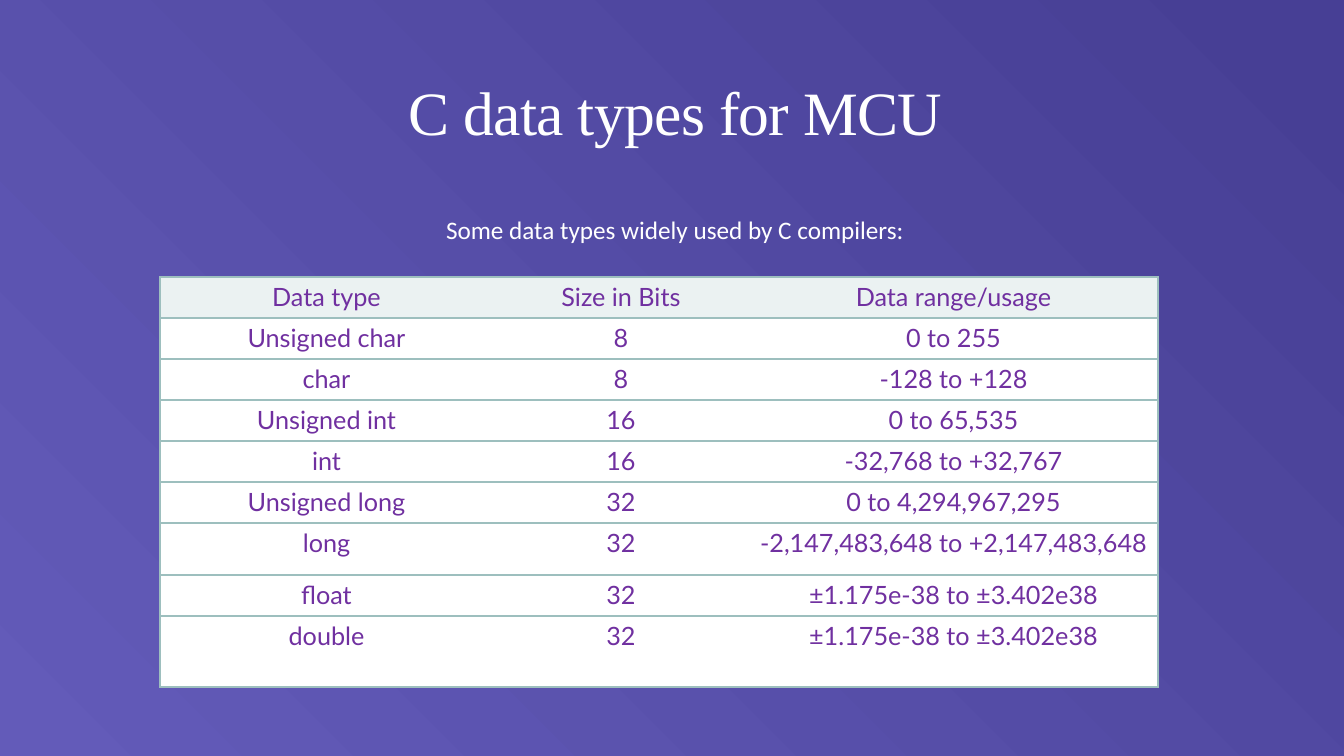
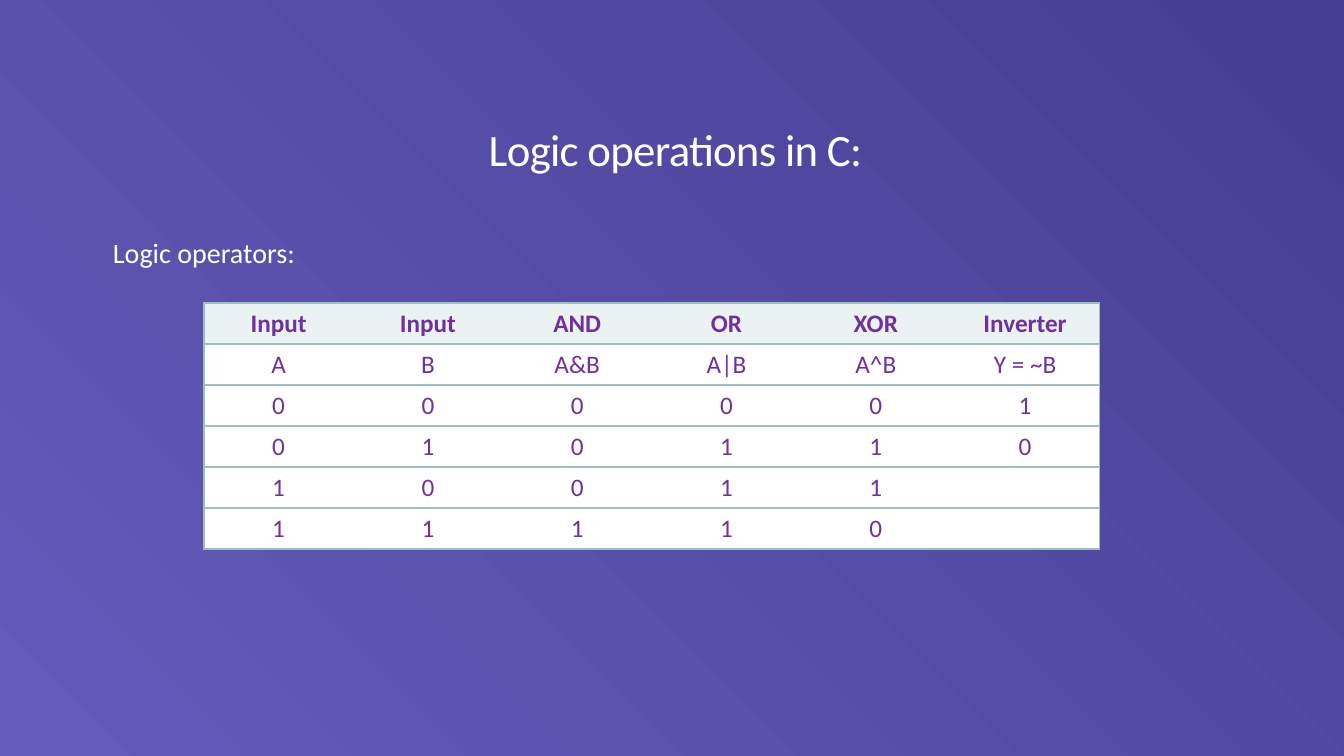
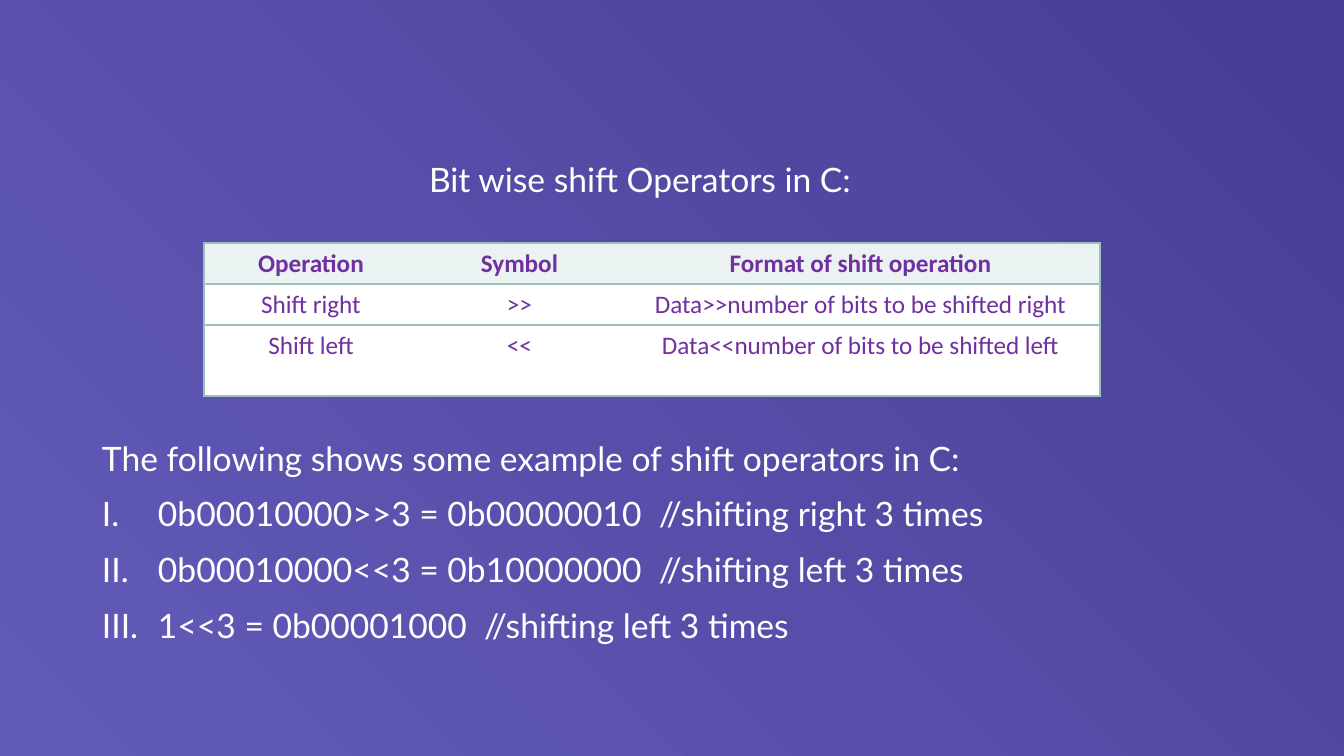
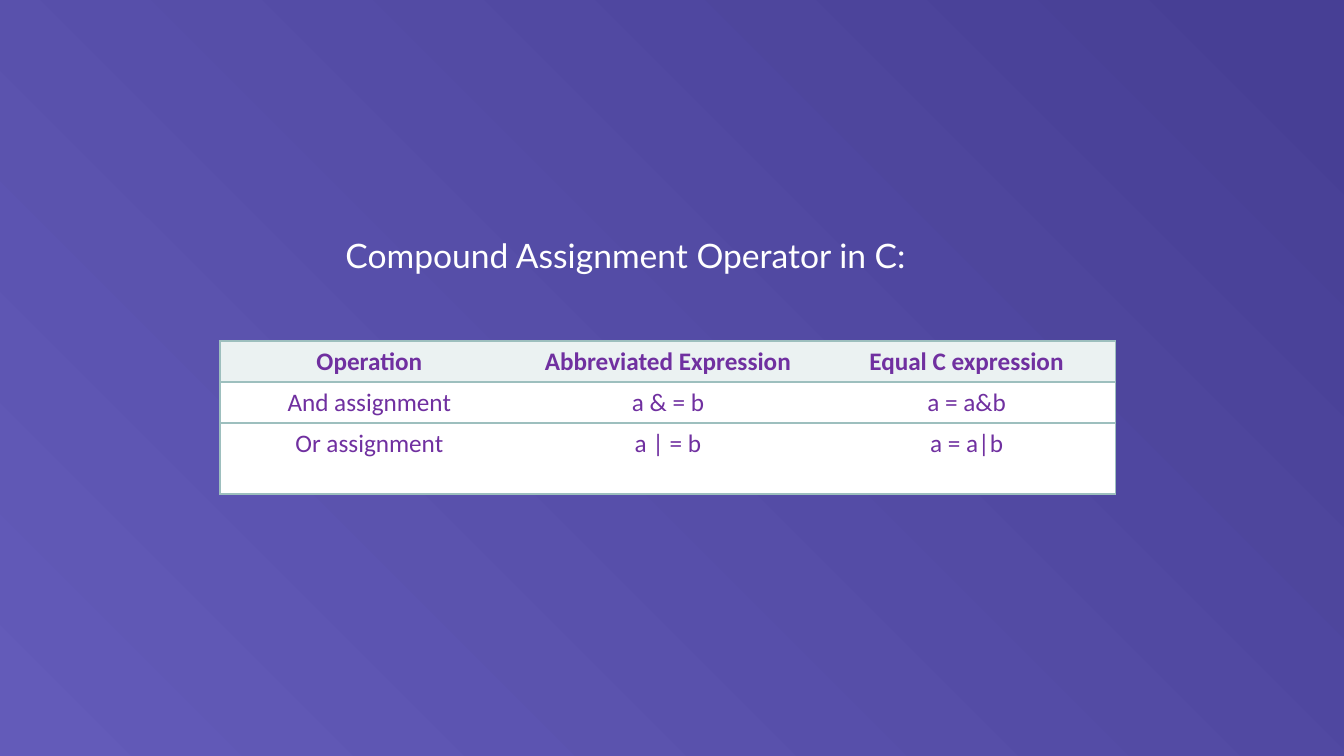
from dataclasses import dataclass

from lxml import etree
from pptx import Presentation
from pptx import util as u
from pptx.dml import color
from pptx.enum import text as t
from pptx.oxml import ns


@dataclass(frozen=True)
class Theme:
    dark: str = "473F95"
    light: str = "635BB9"
    white: str = "FFFFFF"
    ink: str = "7030A0"
    header: str = "EBF2F2"
    rule: str = "9DBFBE"
    serif: str = "Times New Roman"
    plain: str = "Calibri"
    lato: str = "Lato"
    display: int = 44
    heading: int = 32
    subheading: int = 24
    lead: int = 20
    regular: int = 18


THEME = Theme()
SLIDE_W, SLIDE_H = 1344, 756
SCALE = 12192000 / SLIDE_W
TITLE_ONLY, TITLE_AND_CONTENT = 5, 1
ROW = 41


def px(length):
    return u.Emu(round(length * SCALE))


def rgb(value):
    return color.RGBColor.from_string(value)


def child(parent, tag, **attributes):
    return etree.SubElement(parent, ns.qn(tag), attributes)


def style(paragraph, face, size, tint, bold=False):
    for run in paragraph.runs:
        run.font.name = face
        run.font.size = u.Pt(size)
        run.font.bold = bold
        run.font.color.rgb = rgb(tint)


def paint_background(master):
    fill = master.background.fill
    fill.gradient()
    stops = ((0.04, THEME.dark), (0.99, THEME.light))
    for stop, (position, tint) in zip(fill.gradient_stops, stops):
        stop.position = position
        stop.color.rgb = rgb(tint)
    gradient = next(master.element.iter(ns.qn("a:gradFill")))
    gradient.remove(gradient.find(ns.qn("a:lin")))
    focus = child(gradient, "a:path", path="circle")
    child(focus, "a:fillToRect", l="100000", b="100000")


def place(holder, box):
    holder.left, holder.top, holder.width, holder.height = map(px, box)
    holder.text_frame.word_wrap = True
    holder.text_frame.auto_size = t.MSO_AUTO_SIZE.NONE


def add_title(slide, box, wording, face, size, line=0.85, tracking=0):
    title = slide.shapes.title
    place(title, box)
    title.text_frame.text = wording
    title.text_frame.vertical_anchor = t.MSO_ANCHOR.BOTTOM
    heading = title.text_frame.paragraphs[0]
    heading.alignment = t.PP_ALIGN.CENTER
    heading.line_spacing = line
    style(heading, face, size, THEME.white)
    if tracking:
        heading.runs[0].font._element.set("spc", str(tracking))


def add_caption(slide, box, wording):
    caption = slide.shapes.add_textbox(*map(px, box))
    caption.text_frame.word_wrap = True
    caption.text_frame.text = wording
    line = caption.text_frame.paragraphs[0]
    line.alignment = t.PP_ALIGN.CENTER
    style(line, THEME.plain, THEME.regular, THEME.white)


def add_body(slide, box, intro, face, size, numbered=()):
    body = slide.placeholders[1]
    place(body, box)
    frame = body.text_frame
    frame.margin_left = frame.margin_right = 0
    frame.text = "\n".join((intro, *numbered))
    for index, paragraph in enumerate(frame.paragraphs):
        paragraph.line_spacing = 0.9
        paragraph.space_before = u.Pt(12)
        paragraph.space_after = u.Pt(2)
        style(paragraph, face, size, THEME.white)
        properties = paragraph._p.get_or_add_pPr()
        indent = px(56) if index else 0
        properties.set("marL", str(indent))
        properties.set("indent", str(-indent))
        if index:
            child(child(properties, "a:buClr"), "a:srgbClr", val=THEME.white)
            child(properties, "a:buFont", typeface="+mj-lt")
            child(properties, "a:buAutoNum", type="romanUcPeriod")
        else:
            child(properties, "a:buNone")


def rule_cell(cell, first, last):
    properties = cell._tc.get_or_add_tcPr()
    edges = (("L", first), ("R", last), ("T", True), ("B", True))
    for position, (side, shown) in enumerate(edges):
        edge = etree.Element(ns.qn(f"a:ln{side}"), w=str(u.Pt(1)))
        if shown:
            child(child(edge, "a:solidFill"), "a:srgbClr", val=THEME.rule)
        else:
            child(edge, "a:noFill")
        properties.insert(position, edge)


def add_grid(slide, box, shares, last_row, records, face=THEME.plain,
             bold_header=True, tall_rows=None):
    left, top, width = box
    heights = [ROW] * (len(records) - 1) + [last_row]
    for index, height in (tall_rows or {}).items():
        heights[index] = height
    table = slide.shapes.add_table(
        len(records), len(shares), *map(px, (left, top, width, sum(heights)))
    ).table
    table.first_row = table.horz_banding = False
    for column, share in zip(table.columns, shares):
        column.width = px(width * share / sum(shares))
    for r, (record, height) in enumerate(zip(records, heights)):
        table.rows[r].height = px(height)
        for c, wording in enumerate(record):
            cell = table.cell(r, c)
            cell.fill.solid()
            cell.fill.fore_color.rgb = rgb(THEME.white if r else THEME.header)
            rule_cell(cell, c == 0, c == len(record) - 1)
            cell.text_frame.text = wording
            line = cell.text_frame.paragraphs[0]
            line.alignment = t.PP_ALIGN.CENTER
            style(line, face, THEME.regular, THEME.ink, bold_header and r == 0)


def data_types_slide(slide):
    add_title(slide, (121, 59, 1109, 94), "C data types for MCU",
              THEME.serif, THEME.display, tracking=-50)
    add_grid(slide, (160, 277, 998), (333, 256, 409), 71, (
        ("Data type", "Size in Bits", "Data range/usage"),
        ("Unsigned char", "8", "0 to 255"),
        ("char", "8", "-128 to +128"),
        ("Unsigned int", "16", "0 to 65,535"),
        ("int", "16", "-32,768 to +32,767"),
        ("Unsigned long", "32", "0 to 4,294,967,295"),
        ("long", "32", "-2,147,483,648 to +2,147,483,648"),
        ("float", "32", "±1.175e-38 to ±3.402e38"),
        ("double", "32", "±1.175e-38 to ±3.402e38"),
    ), THEME.lato, bold_header=False, tall_rows={6: 52})
    add_caption(slide, (413, 209, 524, 40),
                "Some data types widely used by C compilers:")


def logic_slide(slide):
    add_title(slide, (121, 102, 1109, 79), "Logic operations in C:",
              THEME.plain, THEME.heading, tracking=-50)
    add_body(slide, (113, 234, 1139, 45), "Logic operators:",
             THEME.plain, THEME.lead)
    add_grid(slide, (204, 303, 896), (1,) * 6, ROW, (
        ("Input", "Input", "AND", "OR", "XOR", "Inverter"),
        ("A", "B", "A&B", "A|B", "A^B", "Y = ~B"),
        ("0", "0", "0", "0", "0", "1"),
        ("0", "1", "0", "1", "1", "0"),
        ("1", "0", "0", "1", "1", ""),
        ("1", "1", "1", "1", "0", ""),
    ))


def shift_slide(slide):
    add_title(slide, (102, 158, 1076, 47), "Bit wise shift Operators in C:",
              THEME.lato, THEME.subheading, line=0.9)
    add_body(slide, (102, 437, 1139, 226),
             "The following shows some example of shift operators in C:",
             THEME.lato, THEME.subheading, (
                 "0b00010000>>3 = 0b00000010  //shifting right 3 times",
                 "0b00010000<<3 = 0b10000000  //shifting left 3 times",
                 "1<<3 = 0b00001000  //shifting left 3 times",
             ))
    add_grid(slide, (204, 243, 896), (214, 203, 479), 71, (
        ("Operation", "Symbol", "Format of shift operation"),
        ("Shift right", ">>", "Data>>number of bits to be shifted right"),
        ("Shift left", "<<", "Data<<number of bits to be shifted left"),
    ))


def assignment_slide(slide):
    add_title(slide, (114, 235, 1023, 46), "Compound Assignment Operator in C:",
              THEME.lato, THEME.subheading, line=0.9)
    add_grid(slide, (220, 341, 896), (1,) * 3, 71, (
        ("Operation", "Abbreviated Expression", "Equal C expression"),
        ("And assignment", "a & = b", "a = a&b"),
        ("Or assignment", "a | = b", "a = a|b"),
    ))


def main():
    deck = Presentation()
    deck.slide_width, deck.slide_height = px(SLIDE_W), px(SLIDE_H)
    paint_background(deck.slide_master)
    for build, layout in (
        (data_types_slide, TITLE_ONLY),
        (logic_slide, TITLE_AND_CONTENT),
        (shift_slide, TITLE_AND_CONTENT),
        (assignment_slide, TITLE_ONLY),
    ):
        build(deck.slides.add_slide(deck.slide_layouts[layout]))
    deck.save("out.pptx")


if __name__ == "__main__":
    main()
